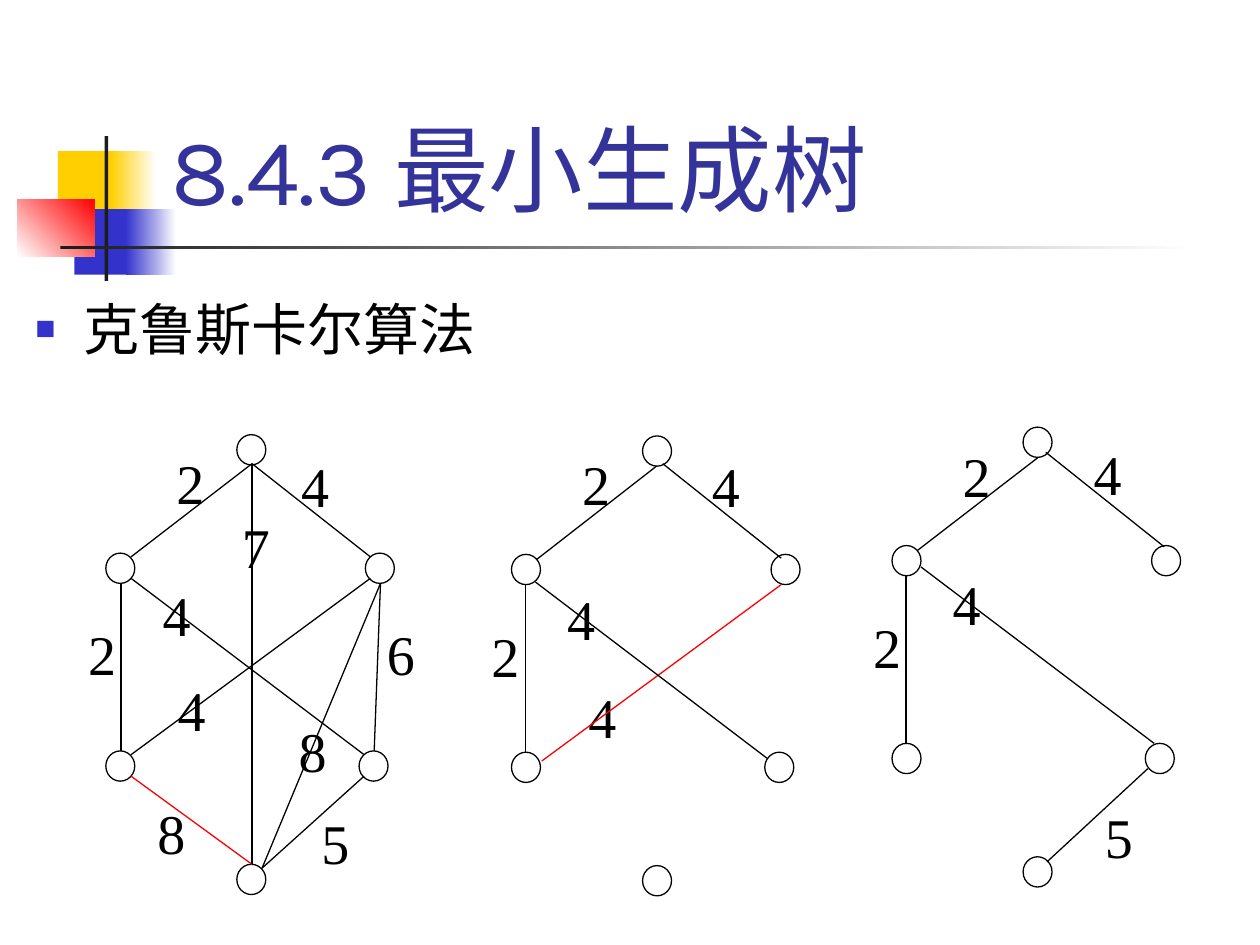
from lxml import etree
from pptx import Presentation
from pptx.dml.color import RGBColor
from pptx.enum.shapes import MSO_CONNECTOR, MSO_SHAPE
from pptx.enum.text import MSO_ANCHOR, MSO_AUTO_SIZE, PP_ALIGN
from pptx.oxml.ns import qn
from pptx.util import Inches, Pt

RECT, OVAL = MSO_SHAPE.RECTANGLE, MSO_SHAPE.OVAL
LINE = MSO_CONNECTOR.STRAIGHT
TOP, BOTTOM = MSO_ANCHOR.TOP, MSO_ANCHOR.BOTTOM
LEFT, FIXED = PP_ALIGN.LEFT, MSO_AUTO_SIZE.NONE

WHITE, BLACK, RED = "FFFFFF", "000000", "FF0000"
GOLD, BLUE, NAVY, DARK = "FFCF01", "3333CC", "333399", "1C1C1C"

BANDS = [
    ((0.46, 1.2, 0.48, 0.52), (GOLD,), 0),
    ((0.88, 1.2, 0.36, 0.52), (GOLD, WHITE), 0),
    ((0.59, 1.66, 0.46, 0.52), (BLUE,), 0),
    ((1, 1.66, 0.4, 0.52), (BLUE, WHITE), 0),
    ((0.14, 1.58, 0.61, 0.46), (WHITE, RED), 45),
    ((0.83, 1.08, 0.03, 1.15), (DARK,), 0),
    ((0.48, 1.95, 9, 0.03), (DARK, WHITE), 0),
]

NODES = [(1.04, 0), (0, 0.94), (2.06, 0.94),
         (0, 2.51), (2.01, 2.51), (1.04, 3.41)]

GRAPHS = [
    {
        "origin": (0.84, 3.45),
        "labels": [
            ("6", 2.95, 4.86, 0.77), ("5", 2.43, 6.36, 0.73),
            ("8", 1.13, 6.28, 0.66), ("2", 0.58, 4.86, 0.74),
            ("2", 1.28, 3.5, 0.75), ("4", 2.27, 3.52, 0.71),
            ("8", 2.25, 5.63, 0.73), ("4", 1.29, 5.3, 0.75),
            ("4", 1.17, 4.55, 0.65), ("7", 1.8, 4.01, 0.69),
        ],
        "edges": [
            (2, 3.68, 1.04, 4.42), (2, 3.68, 2.94, 4.42),
            (0.96, 4.63, 0.96, 5.96), (3.02, 4.63, 2.97, 5.96),
            (2.89, 6.16, 2.08, 6.89), (1.04, 6.16, 2, 6.86, RED),
            (2.94, 4.59, 1.04, 5.99), (1.04, 4.59, 2.89, 5.99),
            (2, 3.68, 2, 6.86), (3.02, 4.63, 2.08, 6.89),
        ],
    },
    {
        "origin": (4.06, 3.46),
        "labels": [
            ("2", 4.5, 3.51, 0.75), ("2", 3.78, 4.87, 0.74),
            ("4", 5.53, 3.52, 0.71), ("4", 4.55, 5.36, 0.75),
            ("4", 4.38, 4.58, 0.65),
        ],
        "edges": [
            (5.21, 3.7, 4.26, 4.44), (4.17, 4.64, 4.17, 5.97),
            (5.26, 3.68, 6.2, 4.43), (6.2, 4.64, 4.3, 6.04, RED),
            (4.25, 4.62, 6.09, 6.02),
        ],
    },
    {
        "origin": (7.08, 3.39),
        "labels": [
            ("2", 7.52, 3.44, 0.75), ("2", 6.81, 4.8, 0.74),
            ("4", 7.44, 4.46, 0.65), ("4", 8.56, 3.43, 0.71),
            ("5", 8.65, 6.31, 0.73),
        ],
        "edges": [
            (8.24, 3.63, 7.28, 4.37), (7.19, 4.57, 7.19, 5.9),
            (7.31, 4.5, 9.16, 5.9), (8.3, 3.59, 9.24, 4.34),
            (9.11, 6.1, 8.31, 6.84),
        ],
    },
]


def color(code):
    return RGBColor.from_string(code)


class Deck:
    head, serif = "Karla", "Times New Roman"
    size, rule = 32, 0.75

    def __init__(self, show):
        self.slide = show.slides.add_slide(show.slide_layouts[1])

    def text(self, shape, words, face, size, ink, anchor):
        frame = shape.text_frame
        frame.text = words
        frame.word_wrap = True
        frame.auto_size = FIXED
        frame.vertical_anchor = anchor
        para = frame.paragraphs[0]
        para.alignment = LEFT
        font = para.runs[0].font
        font.name, font.size = face, Pt(size)
        font.color.rgb = color(ink)
        return para

    def place(self, shape, box):
        shape.left, shape.top, shape.width, shape.height = map(Inches, box)

    def title(self, words, box):
        shape = self.slide.shapes.title
        self.place(shape, box)
        self.text(shape, words, self.head, 54, NAVY, BOTTOM)

    def body(self, words, box):
        shape = self.slide.placeholders[1]
        self.place(shape, box)
        para = self.text(shape, words, self.head, self.size, BLACK, TOP)
        props = para._p.get_or_add_pPr()
        props.set("marL", str(Inches(0.38)))
        props.set("indent", str(-Inches(0.38)))
        tint = etree.SubElement(props, qn("a:buClr"))
        etree.SubElement(tint, qn("a:srgbClr"), val=BLUE)
        etree.SubElement(props, qn("a:buSzPct"), val="60000")
        etree.SubElement(props, qn("a:buChar"), char="■")
        para.line_spacing = 1.5
        para.space_before = Pt(0)

    def shape(self, kind, box, fill, line=None):
        item = self.slide.shapes.add_shape(kind, *map(Inches, box))
        item.shadow.inherit = False
        item.fill.solid()
        item.fill.fore_color.rgb = color(fill)
        if line:
            item.line.color.rgb = color(line)
            item.line.width = Pt(self.rule)
        else:
            item.line.fill.background()
        return item

    def band(self, box, hues, angle):
        item = self.shape(RECT, box, hues[0])
        if len(hues) > 1:
            item.fill.gradient()
            item.fill.gradient_angle = angle
            for stop, hue in zip(item.fill.gradient_stops, hues):
                stop.color.rgb = color(hue)

    def label(self, words, left, top, width):
        item = self.shape(RECT, (left, top, width, 0.85), WHITE, WHITE)
        self.text(item, words, self.serif, self.size, BLACK, TOP)
        frame = item.text_frame
        frame.margin_left = frame.margin_right = Inches(0.12)
        frame.margin_top = frame.margin_bottom = Inches(0.06)

    def node(self, left, top):
        self.shape(OVAL, (left, top, 0.23, 0.24), WHITE, BLACK)

    def edge(self, x1, y1, x2, y2, ink=BLACK):
        ends = map(Inches, (x1, y1, x2, y2))
        item = self.slide.shapes.add_connector(LINE, *ends)
        item.line.color.rgb = color(ink)
        item.line.width = Pt(self.rule)
        etree.SubElement(item._element.spPr, qn("a:effectLst"))

    def graph(self, origin, labels, edges):
        for label in labels:
            self.label(*label)
        for x, y in NODES:
            self.node(origin[0] + x, origin[1] + y)
        for edge in edges:
            self.edge(*edge)


def main():
    show = Presentation()
    show.slide_width, show.slide_height = Inches(10), Inches(7.5)
    deck = Deck(show)
    for band in BANDS:
        deck.band(*band)
    deck.title("8.4.3 最小生成树", (1.26, 0.23, 8.52, 1.6))
    deck.body("克鲁斯卡尔算法", (0.18, 2.02, 9.8, 5.48))
    for graph in GRAPHS:
        deck.graph(**graph)
    show.save("out.pptx")


if __name__ == "__main__":
    main()
